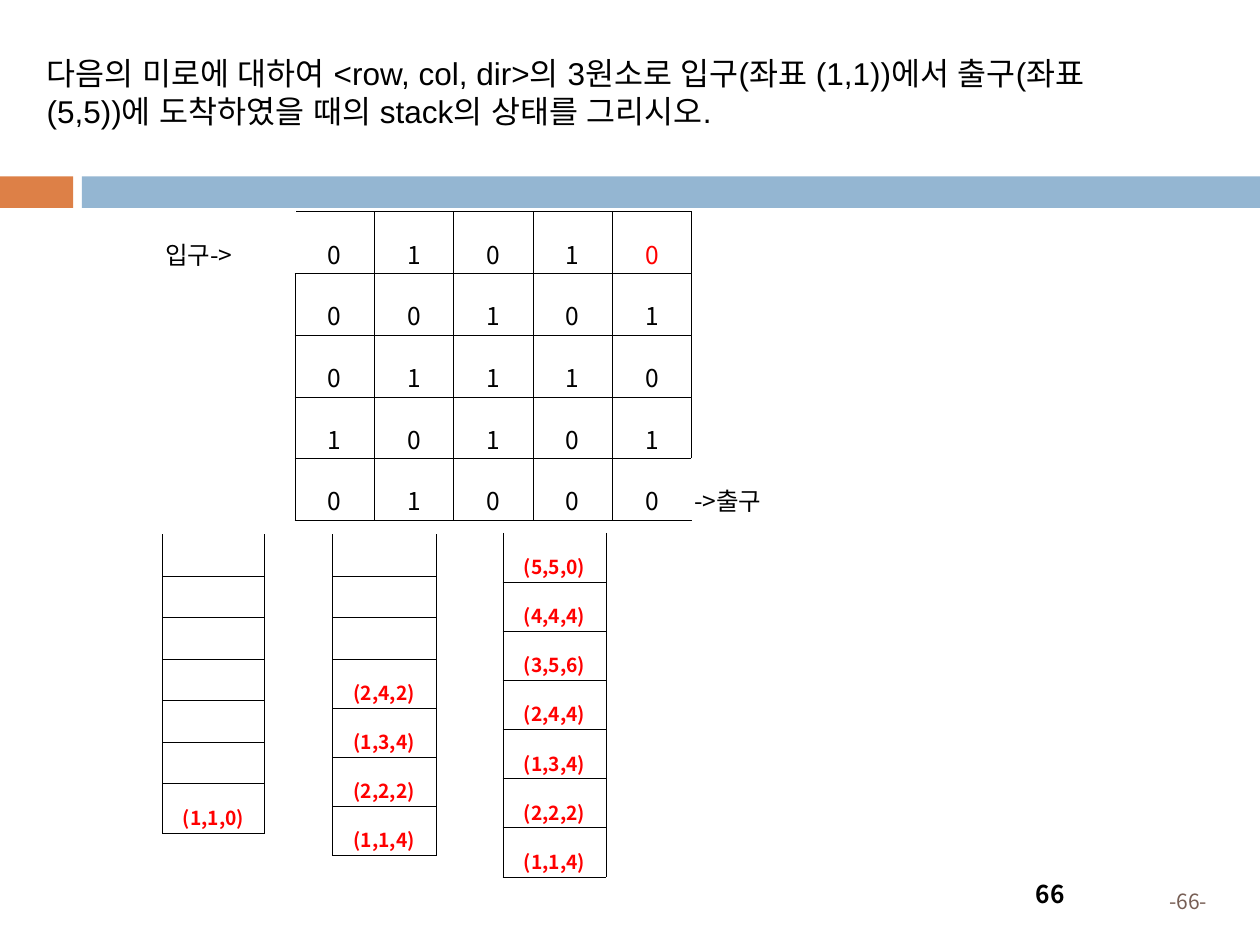
from lxml.etree import SubElement
from pptx import Presentation
from pptx.dml.color import RGBColor
from pptx.enum.shapes import MSO_SHAPE
from pptx.enum.text import MSO_ANCHOR, PP_ALIGN
from pptx.oxml.ns import qn
from pptx.util import Inches, Pt

KOREAN = "Noto Sans CJK KR"
BLACK, WHITE, RED = "000000", "FFFFFF", "FF0000"


def write(frame, text, size, color=BLACK, bold=False, align=PP_ALIGN.CENTER, name=KOREAN):
    """Write one formatted paragraph, in one typeface for Latin and Hangul."""
    paragraph = frame.paragraphs[0]
    paragraph.alignment = align
    run = paragraph.add_run()
    run.text = text
    run.font.size = Pt(size)
    run.font.bold = bold
    run.font.name = name
    run.font.color.rgb = RGBColor.from_string(color)
    SubElement(run.font._element, qn("a:ea"), typeface=name)
    return paragraph


def format_cell(cell, borders, side_inset):
    """Set insets, borders (left, right, top, bottom colours) and no fill."""
    cell.margin_left = cell.margin_right = Inches(side_inset)
    cell.margin_top = cell.margin_bottom = Inches(0.02)
    cell.vertical_anchor = MSO_ANCHOR.MIDDLE
    properties = cell._tc.get_or_add_tcPr()
    for side, color in zip("LRTB", borders):
        line = SubElement(properties, qn(f"a:ln{side}"), w=str(Pt(0.28)))
        fill = SubElement(line, qn("a:solidFill"))
        SubElement(fill, qn("a:srgbClr"), val=color)
    cell.fill.background()
    paragraph = cell.text_frame.paragraphs[0]
    if cell.text:
        paragraph.line_spacing = 1.6
    else:
        # A small end mark keeps empty rows from growing
        SubElement(paragraph._p, qn("a:endParaRPr"), sz="1100")


presentation = Presentation()
presentation.slide_width = Inches(10)
presentation.slide_height = Inches(7.5)
slide = presentation.slides.add_slide(presentation.slide_layouts[1])
title = slide.shapes.title
title._element.getparent().remove(title._element)

# Colour bands
for left, width, color in [(0, 0.58, "DD8047"), (0.65, 9.35, "94B6D2")]:
    band = slide.shapes.add_shape(
        MSO_SHAPE.RECTANGLE, Inches(left), Inches(1.4), Inches(width), Inches(0.25))
    band.shadow.inherit = False
    band.fill.solid()
    band.fill.fore_color.rgb = RGBColor.from_string(color)
    band.line.fill.background()

# Question
question = slide.placeholders[1]
question.left, question.top = Inches(0.27), Inches(0.38)
question.width, question.height = Inches(9), Inches(0.81)
paragraph = write(
    question.text_frame,
    "다음의 미로에 대하여 <row, col, dir>의 3원소로 입구(좌표 (1,1))에서 출구(좌표 (5,5))에 "
    "도착하였을 때의 stack의 상태를 그리시오.",
    18, align=PP_ALIGN.LEFT, name="Arial")
paragraph.space_before = Pt(7)
indents = paragraph._p.get_or_add_pPr()
indents.set("marL", "0")
indents.set("indent", "0")
SubElement(indents, qn("a:buNone"))

# Page numbers
for left, top, width, height, text, size, color, bold, align in [
    (8.74, 6.95, 0.94, 0.4, "-66-", 12, "775F55", False, PP_ALIGN.RIGHT),
    (7.17, 6.83, 2.33, 0.52, "66", 14, BLACK, True, PP_ALIGN.CENTER),
]:
    box = slide.shapes.add_textbox(Inches(left), Inches(top), Inches(width), Inches(height))
    box.text_frame.word_wrap = True
    box.text_frame.vertical_anchor = MSO_ANCHOR.MIDDLE
    write(box.text_frame, text, size, color, bold, align)

# Maze, with a label column on each side; rows are tall enough for the line spacing
maze_rows = ["01010", "00101", "01110", "10101", "01000"]
last_row = len(maze_rows) - 1
maze = slide.shapes.add_table(
    5, 7, Inches(1.29), Inches(1.68), Inches(5.12), Inches(5 * 0.49)).table
maze.first_row = maze.horz_banding = False
for column, width in zip(maze.columns, [1.05] + [0.63] * 5 + [0.92]):
    column.width = Inches(width)
for row, digits in enumerate(maze_rows):
    entrance = WHITE if row == 0 else BLACK
    way_out = WHITE if row == last_row else BLACK
    texts = ["입구->" if row == 0 else "", *digits, "->출구" if row == last_row else ""]
    for column, text in enumerate(texts):
        cell = maze.cell(row, column)
        is_label = column in (0, 6)
        if text:
            write(cell.text_frame, text, 14, RED if (row, column) == (0, 5) else BLACK,
                  align=PP_ALIGN.JUSTIFY if is_label else PP_ALIGN.CENTER)
        edge = WHITE if is_label else BLACK
        left = {1: entrance, 6: way_out}.get(column, edge)
        right = {0: entrance, 5: way_out}.get(column, edge)
        format_cell(cell, (left, right, edge, edge), 0.02)

# Stacks, open at the top and filled from the bottom; filled rows are taller
stack_size = 7
empty_height, filled_height = 0.33, 0.39
for left, top, width, entries in [
    (2.64, 4.24, 0.82, ["(2,4,2)", "(1,3,4)", "(2,2,2)", "(1,1,4)"]),
    (3.99, 4.23, 0.82, ["(5,5,0)", "(4,4,4)", "(3,5,6)", "(2,4,4)",
                        "(1,3,4)", "(2,2,2)", "(1,1,4)"]),
    (1.29, 4.24, 0.81, ["(1,1,0)"]),
]:
    empty_count = stack_size - len(entries)
    height = empty_count * empty_height + len(entries) * filled_height
    stack = slide.shapes.add_table(
        stack_size, 1, Inches(left), Inches(top), Inches(width), Inches(height)).table
    stack.first_row = stack.horz_banding = False
    for row, text in enumerate([""] * empty_count + entries):
        stack.rows[row].height = Inches(filled_height if text else empty_height)
        cell = stack.cell(row, 0)
        if text:
            write(cell.text_frame, text, 11, RED, True)
        format_cell(cell, (BLACK, BLACK, WHITE if row == 0 else BLACK, BLACK), 0.07)

presentation.save("out.pptx")
